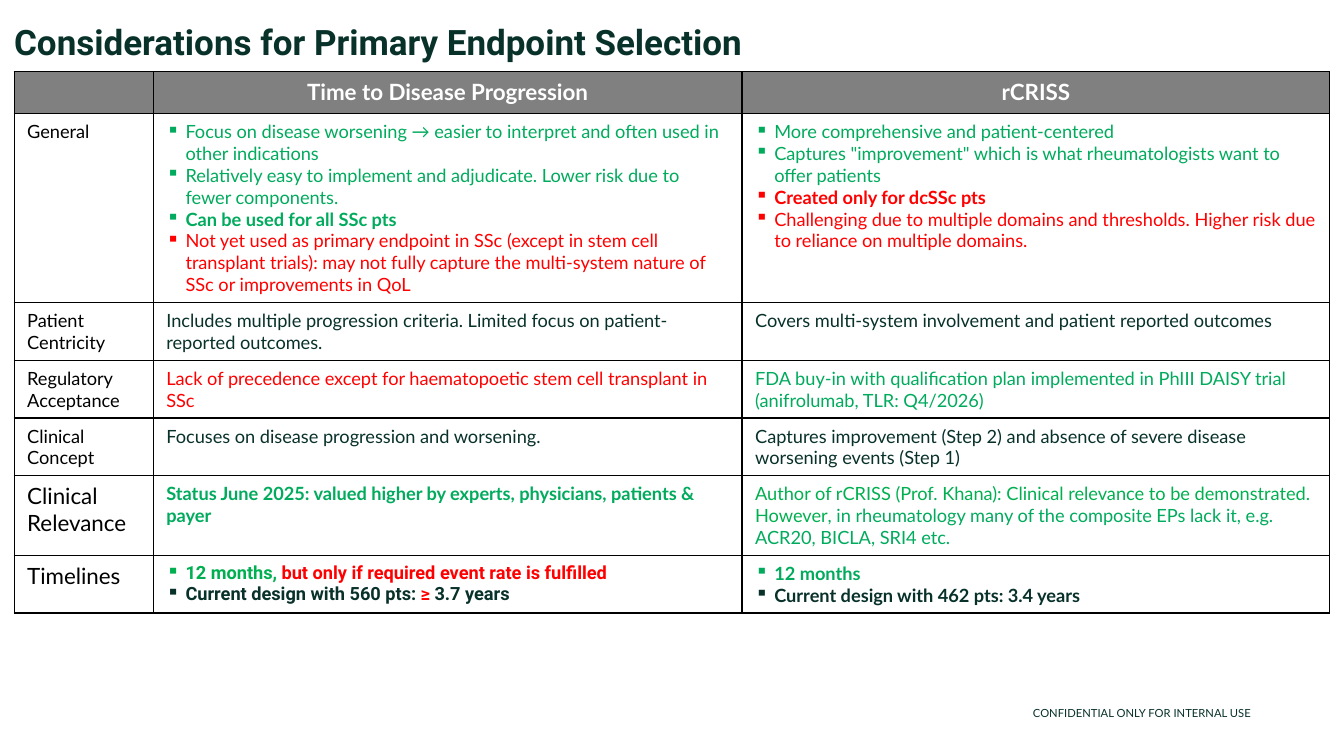
from lxml import etree
from pptx import Presentation
from pptx.dml.color import RGBColor
from pptx.enum.text import MSO_ANCHOR as Anchor, MSO_AUTO_SIZE as Fit, PP_ALIGN as Align
from pptx.oxml import parse_xml
from pptx.oxml.ns import nsdecls, qn
from pptx.util import Inches, Pt

DARK = RGBColor(0x08, 0x31, 0x2A)
GREEN = RGBColor(0x00, 0xAB, 0x5D)
LEAF = RGBColor(0x00, 0xB0, 0x50)
RED = RGBColor(0xFF, 0x00, 0x00)
BLACK = RGBColor(0x00, 0x00, 0x00)
GRAY = RGBColor(0x80, 0x80, 0x80)
WHITE = RGBColor(0xFF, 0xFF, 0xFF)

COLS = [1.38, 5.84, 5.83]
ROWS = [0.4, 1.87, 0.57, 0.57, 0.57, 0.78, 0.57]


def run(text, color=DARK, **form):
    return dict(text=text, color=color, **form)


def cell(*paras, **form):
    """Describe a cell: each paragraph is one run or a list of runs."""
    return paras, form


GRID = [
    [
        cell(run("", WHITE), size=16),
        cell(run("Time to Disease Progression", WHITE), size=16, bold=True, align=Align.CENTER),
        cell(run("rCRISS", WHITE), size=16, bold=True, align=Align.CENTER),
    ],
    [
        cell(run("General", BLACK)),
        cell(
            run("Focus on disease worsening → easier to interpret and often used in "
                "other indications", GREEN),
            run("Relatively easy to implement and adjudicate. Lower risk due to "
                "fewer components.", GREEN),
            run("Can be used for all SSc pts", GREEN, bold=True),
            run("Not yet used as primary endpoint in SSc (except in stem cell transplant "
                "trials): may not fully capture the multi-system nature of SSc or "
                "improvements in QoL", RED),
            bullet=True),
        cell(
            run("More comprehensive and patient-centered", GREEN),
            run('Captures "improvement" which is what rheumatologists want to '
                "offer patients", GREEN),
            run("Created only for dcSSc pts", RED, bold=True),
            run("Challenging due to multiple domains and thresholds. Higher risk due "
                "to reliance on multiple domains.", RED),
            bullet=True),
    ],
    [
        cell(run("Patient Centricity", BLACK)),
        cell(run("Includes multiple progression criteria. Limited focus on "
                 "patient-reported outcomes.")),
        cell(run("Covers multi-system involvement and patient reported outcomes")),
    ],
    [
        cell(run("Regulatory", BLACK), run("Acceptance", BLACK)),
        cell(run("Lack of precedence except for haematopoetic stem cell transplant "
                 "in SSc", RED)),
        cell(run("FDA buy-in with qualification plan implemented in PhIII DAISY trial "
                 "(anifrolumab, TLR: Q4/2026)", GREEN)),
    ],
    [
        cell(run("Clinical Concept", BLACK)),
        cell(run("Focuses on disease progression and worsening.")),
        cell(run("Captures improvement (Step 2) and absence of severe disease "
                 "worsening events (Step 1)")),
    ],
    [
        cell(run("Clinical Relevance", BLACK), size=16),
        cell(run("Status June 2025: valued higher by experts, physicians, patients & "
                 "payer", GREEN), bold=True),
        cell([run("Author of rCRISS (Prof. Khana): Clinical relevance to be "
                  "demonstrated. However", LEAF),
              run(", in rheumatology many of the composite EPs lack it, e.g. ACR20, "
                  "BICLA, SRI4 etc.", GREEN)]),
    ],
    [
        cell(run("Timelines", BLACK), size=16),
        cell([run("12 months, ", LEAF),
              run("but only if required event rate is fulfilled", RED)],
             [run("Current design with 560 pts: "), run("≥ ", RED), run("3.7 years")],
             bold=True, bullet=True, face="Roboto"),
        cell(run("12 months", GREEN), run("Current design with 462 pts: 3.4 years"),
             bold=True, bullet=True),
    ],
]


def write(frame, paras, size=13, face="Lato", bold=False, align=Align.LEFT,
          bullet=False, after=0):
    frame.word_wrap = True
    for i, runs in enumerate(paras):
        para = frame.add_paragraph() if i else frame.paragraphs[0]
        para.alignment = align
        if after:
            para.space_after = Pt(after)
        if bullet:
            props = para._p.get_or_add_pPr()
            props.set("marL", str(Inches(0.19)))
            props.set("indent", str(-Inches(0.19)))
            etree.SubElement(props, qn("a:buChar")).set("char", "▪")
        for part in runs if isinstance(runs, list) else [runs]:
            piece = para.add_run()
            piece.text = part["text"]
            font = piece.font
            font.name, font.size = face, Pt(size)
            font.bold = part.get("bold", bold)
            font.color.rgb = part["color"]


def clear(frame, anchor):
    """Drop the insets and automatic sizing of a text frame."""
    frame.margin_left = frame.margin_right = frame.margin_top = frame.margin_bottom = 0
    frame.auto_size = Fit.NONE
    frame.vertical_anchor = anchor


def frame_cell(box):
    """Give a table cell a thin black border on every side."""
    props = box._tc.get_or_add_tcPr()
    for i, side in enumerate("LRTB"):
        props.insert(i, parse_xml(
            f'<a:ln{side} {nsdecls("a")} w="{Pt(1)}"><a:solidFill>'
            f'<a:srgbClr val="{BLACK}"/></a:solidFill></a:ln{side}>'))


def add_title(slide, *box):
    title = slide.shapes.title
    title.left, title.top, title.width, title.height = map(Inches, box)
    clear(title.text_frame, Anchor.TOP)
    write(title.text_frame, [run("Considerations for Primary Endpoint Selection")],
          size=25, face="Roboto", bold=True)


def add_grid(slide, left, top):
    table = slide.shapes.add_table(
        len(ROWS), len(COLS), Inches(left), Inches(top),
        Inches(sum(COLS)), Inches(sum(ROWS))).table
    for col, width in zip(table.columns, COLS):
        col.width = Inches(width)
    for row, height in zip(table.rows, ROWS):
        row.height = Inches(height)
    for r, line in enumerate(GRID):
        for c, (paras, form) in enumerate(line):
            box = table.cell(r, c)
            box.margin_left = box.margin_right = Inches(0.13)
            box.margin_top = box.margin_bottom = Inches(0.07)
            box.fill.solid()
            box.fill.fore_color.rgb = WHITE if r else GRAY
            frame_cell(box)
            write(box.text_frame, paras, **form)


def add_note(slide, *box):
    frame = slide.shapes.add_textbox(*map(Inches, box)).text_frame
    clear(frame, Anchor.BOTTOM)
    write(frame, [run("CONFIDENTIAL ONLY FOR INTERNAL USE")],
          size=8, align=Align.RIGHT, after=3)


def main():
    deck = Presentation()
    deck.slide_width, deck.slide_height = Inches(13.33), Inches(7.5)
    slide = deck.slides.add_slide(deck.slide_layouts[5])
    add_title(slide, 0.14, 0.2, 12.28, 0.79)
    add_note(slide, 6.9, 6.83, 5.51, 0.31)
    add_grid(slide, 0.14, 0.71)
    deck.save("out.pptx")


if __name__ == "__main__":
    main()
